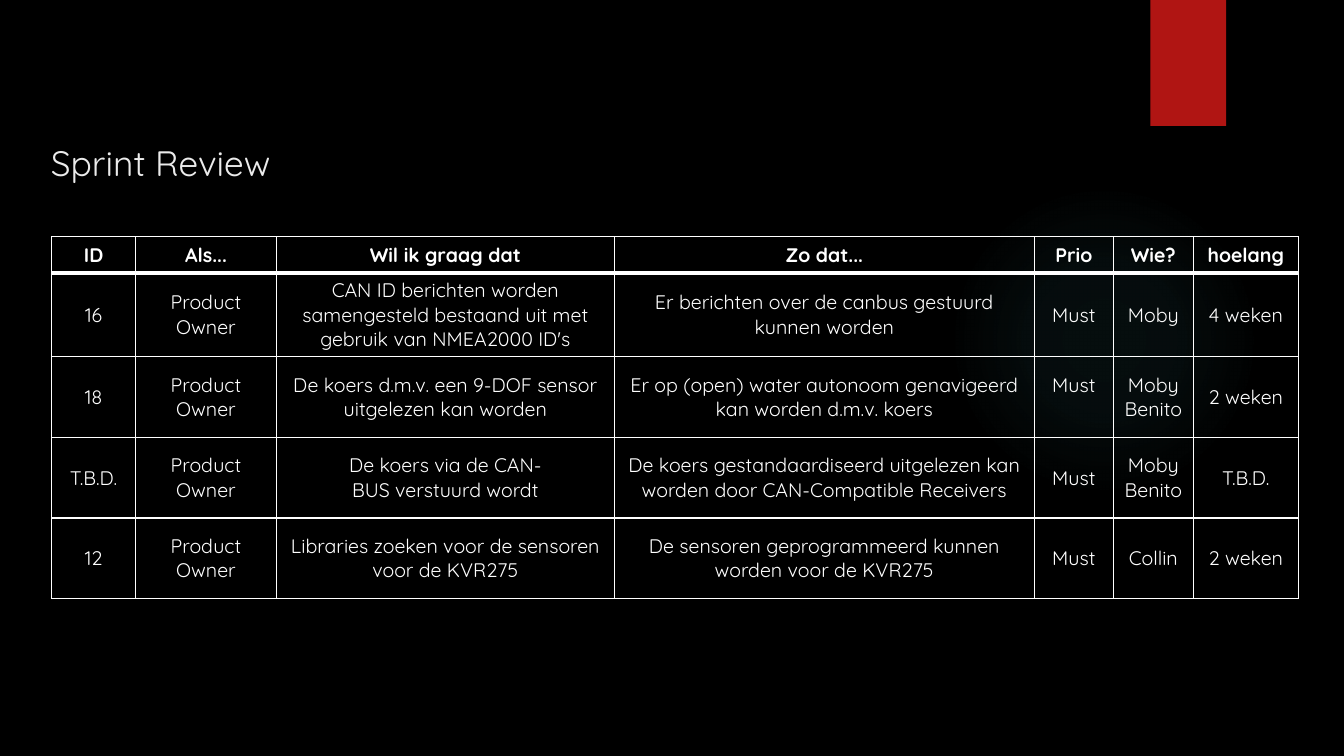
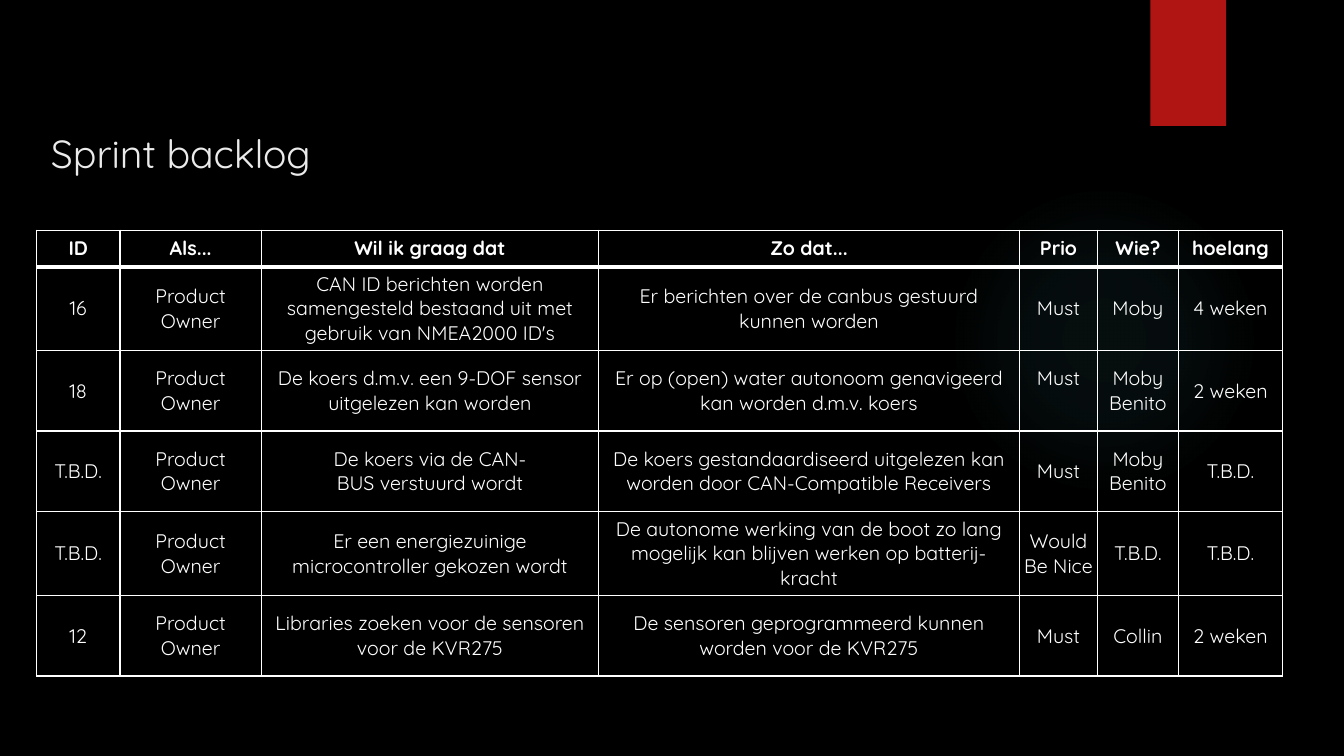
from dataclasses import dataclass

from lxml.etree import SubElement
from pptx import Presentation
from pptx.dml.color import RGBColor
from pptx.enum.shapes import MSO_SHAPE
from pptx.enum.text import MSO_ANCHOR, PP_ALIGN
from pptx.oxml import parse_xml
from pptx.oxml.ns import nsdecls, qn
from pptx.util import Pt


@dataclass(frozen=True)
class Theme:
    """Colours, font, type sizes and line widths of the deck."""
    back: str = "000000"
    accent: str = "B01513"
    glow: str = "50B9C1"
    title: str = "EBEBEB"
    text: str = "FFFFFF"
    font: str = "Quicksand"
    cell_size: float = 14
    thin: float = 1
    thick: float = 3


T = Theme()
HEADER = ("ID", "Als...", "Wil ik graag dat", "Zo dat...", "Prio", "Wie?", "hoelang")
COL_WIDTHS = (59.8, 100.8, 241.2, 300.2, 56.2, 57.4, 74.8)
HEADER_HEIGHT, ROW_HEIGHT, TALL_HEIGHT = 26, 57.6, 59.8
INSET, LINE_HEIGHT = 3.5, 17.5
ROLE = "Product Owner"
UNBROKEN_SPACE = chr(160)
CAN_ID = ("16", ROLE, "CAN ID berichten worden samengesteld bestaand uit met gebruik van NMEA2000 ID's",
          "Er berichten over de canbus gestuurd kunnen worden", "Must", "Moby", "4 weken")
COURSE = ("18", ROLE, "De koers d.m.v. een 9-DOF sensor uitgelezen kan worden",
          "Er op (open) water autonoom genavigeerd kan worden d.m.v. koers",
          "Must", "Moby Benito", "2 weken")
CAN_BUS = ("T.B.D.", ROLE, "De koers via de CAN-" + UNBROKEN_SPACE.join(("BUS", "verstuurd", "wordt")),
           "De koers gestandaardiseerd uitgelezen kan worden door CAN-Compatible Receivers",
           "Must", "Moby Benito", "T.B.D.")
POWER = ("T.B.D.", ROLE, "Er een energiezuinige microcontroller gekozen wordt",
         "De autonome werking van de boot zo lang mogelijk kan blijven werken op batterij-kracht",
         "Would Be Nice", "T.B.D.", "T.B.D.")
LIBRARIES = ("12", ROLE, "Libraries zoeken voor de sensoren voor de KVR275",
             "De sensoren geprogrammeerd kunnen worden voor de KVR275",
             "Must", "Collin", "2 weken")
TALL_STORIES = (CAN_ID, POWER)


def apply(obj, **values):
    """Set each given attribute on the object."""
    for name, value in values.items():
        setattr(obj, name, value)


def write(p, text, size, color, bold=False):
    """Add one formatted run to a paragraph."""
    r = p.add_run()
    r.text = text
    apply(r.font, name=T.font, size=Pt(size), bold=bold)
    r.font.color.rgb = RGBColor.from_string(color)


def add_plain(s, kind, *box):
    """Add a preset shape without line or shadow."""
    sp = s.shapes.add_shape(kind, *map(Pt, box))
    sp.shadow.inherit = False
    sp.line.fill.background()
    return sp


def add_glow(s):
    """Add the faint round glow that fades outwards."""
    sp = add_plain(s, MSO_SHAPE.OVAL, 677.5, 131.8, 221.8, 221.8)
    stops = "".join(
        f'<a:gs pos="{pos}000"><a:srgbClr val="{T.glow}"><a:alpha val="{alpha}000"/></a:srgbClr></a:gs>'
        for pos, alpha in ((0, 7), (36, 6), (69, 0)))
    grad = parse_xml(
        f'<a:gradFill {nsdecls("a")}><a:gsLst>{stops}</a:gsLst><a:path path="circle">'
        '<a:fillToRect l="50000" t="50000" r="50000" b="50000"/></a:path></a:gradFill>')
    sp._element.spPr.find(qn("a:prstGeom")).addnext(grad)


def add_band(s):
    """Add the red band at the top edge."""
    sp = add_plain(s, MSO_SHAPE.RECTANGLE, 821.8, 0, 54, 90)
    sp.fill.solid()
    sp.fill.fore_color.rgb = RGBColor.from_string(T.accent)


def add_title(s, text, size, top):
    """Add the slide title."""
    tf = s.shapes.add_textbox(Pt(36.4), Pt(top), Pt(256), Pt(36)).text_frame
    apply(tf, word_wrap=True, margin_left=0, margin_top=0, margin_right=0, margin_bottom=0)
    write(tf.paragraphs[0], text, size, T.title)


def set_borders(cell, top, bottom):
    """Draw the four cell borders with the given top and bottom widths."""
    tcPr = cell._tc.get_or_add_tcPr()
    widths = {"lnL": T.thin, "lnR": T.thin, "lnT": top, "lnB": bottom}
    for i, (tag, width) in enumerate(widths.items()):
        ln = parse_xml(f'<a:{tag} {nsdecls("a")} w="{Pt(width)}"/>')
        fill = SubElement(ln, qn("a:solidFill"))
        SubElement(fill, qn("a:srgbClr"), val=T.text)
        tcPr.insert(i, ln)


def fill_cell(cell, text, row, lift):
    """Write one cell, raised by the given length."""
    apply(cell, vertical_anchor=MSO_ANCHOR.MIDDLE, margin_left=Pt(INSET), margin_right=Pt(INSET),
          margin_top=Pt(INSET), margin_bottom=Pt(INSET + lift))
    p = cell.text_frame.paragraphs[0]
    p.alignment = PP_ALIGN.CENTER
    write(p, text, T.cell_size, T.text, bold=row == 0)
    cell.fill.background()
    set_borders(cell, T.thick if row == 1 else T.thin, T.thick if row == 0 else T.thin)


def add_stories(s, left, top, stories):
    """Add the table of user stories below its header."""
    rows = (HEADER, *stories)
    heights = [HEADER_HEIGHT] + [TALL_HEIGHT if story in TALL_STORIES else ROW_HEIGHT for story in stories]
    table = s.shapes.add_table(len(rows), len(HEADER), Pt(left), Pt(top),
                               Pt(sum(COL_WIDTHS)), Pt(sum(heights))).table
    apply(table, first_row=False, horz_banding=False)
    for col, width in zip(table.columns, COL_WIDTHS):
        col.width = Pt(width)
    for i, (values, height) in enumerate(zip(rows, heights)):
        table.rows[i].height = Pt(height)
        for j, text in enumerate(values):
            raised = values is COURSE and HEADER[j] == "Prio"
            fill_cell(table.cell(i, j), text, i, LINE_HEIGHT if raised else 0)


def add_slide(prs, title, size, title_top, left, top, stories):
    """Add one slide with the shared decoration, a title and a table."""
    s = prs.slides.add_slide(prs.slide_layouts[6])
    s.background.fill.solid()
    s.background.fill.fore_color.rgb = RGBColor.from_string(T.back)
    add_glow(s)
    add_band(s)
    add_title(s, title, size, title_top)
    add_stories(s, left, top, stories)


def main():
    """Build and save the deck."""
    prs = Presentation()
    apply(prs, slide_width=Pt(960), slide_height=Pt(540))
    add_slide(prs, "Sprint Review", 25.2, 101.2, 37, 169, (CAN_ID, COURSE, CAN_BUS, LIBRARIES))
    add_slide(prs, "Sprint backlog", 28, 92.6, 26, 164.5, (CAN_ID, COURSE, CAN_BUS, POWER, LIBRARIES))
    prs.save("out.pptx")


if __name__ == "__main__":
    main()
